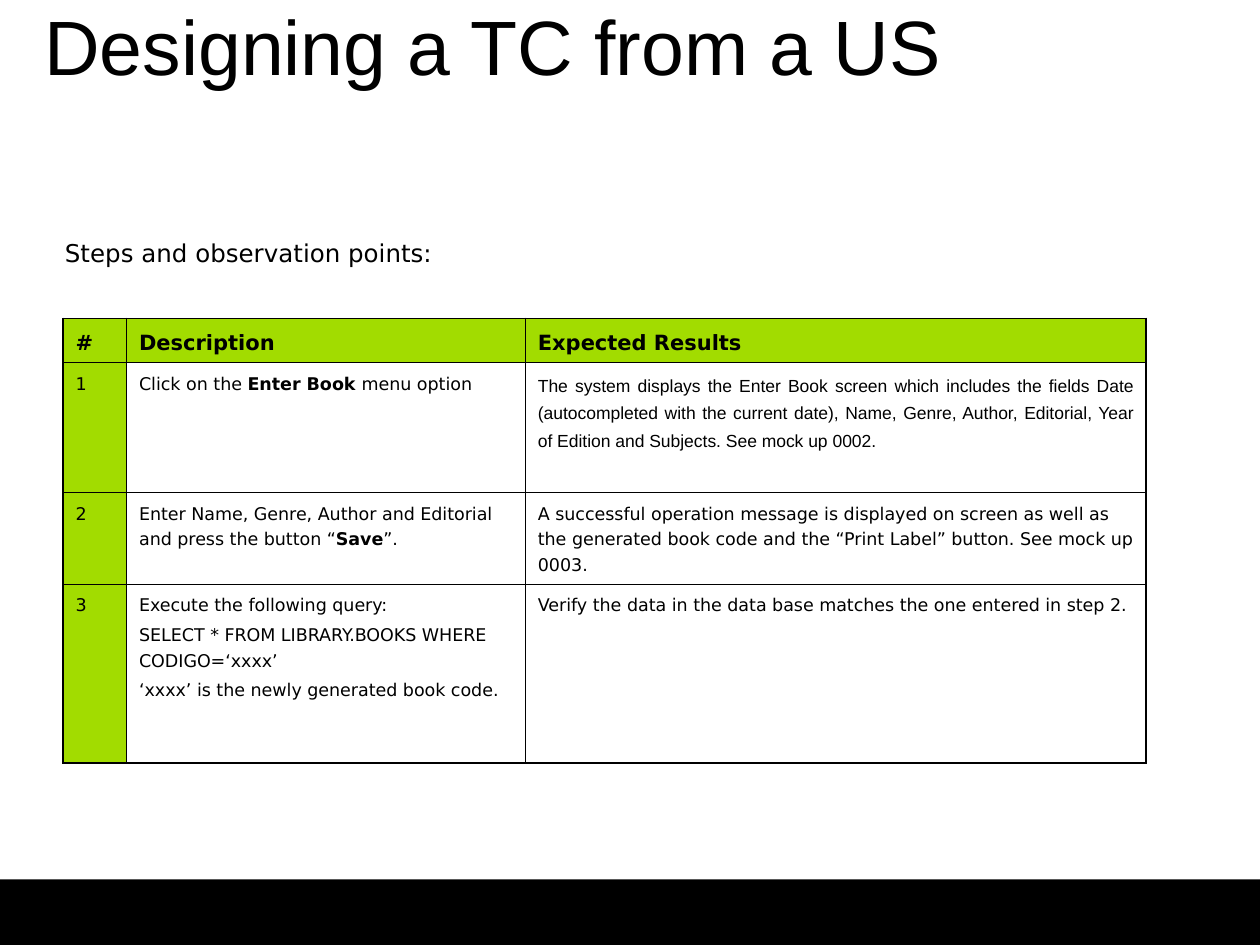
"""Build a slide with a test case table of steps and expected results."""
from dataclasses import dataclass

from lxml.etree import SubElement
from pptx import Presentation
from pptx.dml.color import RGBColor as Rgb
from pptx.enum.shapes import MSO_SHAPE as Shape
from pptx.enum.text import MSO_ANCHOR as Anchor, PP_ALIGN as Align
from pptx.oxml.ns import qn
from pptx.util import Cm, Pt

INK = {"text": "000000", "green": "A2DC00"}
SANS, ARIAL = "DejaVu Sans", "Arial"
THICK, THIN = 1.08, 0.45
COLS = (1.28, 8.04, 12.51)
ROWS = (0.88, 2.62, 1.85, 3.6)


@dataclass
class Style:
    size: float
    face: str = SANS
    bold: bool = False
    align: Align = Align.LEFT
    line: float = 1.25
    gap: float = 2.5


HEAD = Style(12, bold=True)
BODY = Style(10)
JUST = Style(10, face=ARIAL, align=Align.JUSTIFY, line=1.4)
STEP = Style(14, align=Align.JUSTIFY, line=1.4)
NAME = Style(44, face=ARIAL, align=Align.CENTER, line=1)

GRID = (
    ("#", "Description", "Expected Results"),
    ("1", "Click on the |Enter Book |menu option",
     "The system displays the Enter Book screen which includes the fields "
     "Date (autocompleted with the current date), Name, Genre, Author, "
     "Editorial, Year of Edition and Subjects. See mock up 0002."),
    ("2", "Enter Name, Genre, Author and Editorial and press the button “|Save|”.",
     "A successful operation message is displayed on screen as well as the "
     "generated book code and the “Print Label” button. See mock up 0003."),
    ("3", "Execute the following query:\n"
     "SELECT * FROM LIBRARY.BOOKS WHERE CODIGO=‘xxxx’\n"
     "‘xxxx’ is the newly generated book code.",
     "Verify the data in the data base matches the one entered in step 2."),
)


def color(key: str) -> Rgb:
    return Rgb.from_string(INK[key])


def write(frame, text: str, style: Style) -> None:
    """Fill a text frame; bars set off the bold runs."""
    for i, line in enumerate(text.split("\n")):
        para = frame.add_paragraph() if i else frame.paragraphs[0]
        para.alignment, para.line_spacing = style.align, style.line
        para.space_before = Pt(style.gap if i else 0)
        font = para.font
        font.size, font.name, font.bold = Pt(style.size), style.face, style.bold
        font.color.rgb = color("text")
        for j, part in enumerate(line.split("|")):
            run = para.add_run()
            run.text = part
            if j % 2:
                run.font.bold = True


def border(cell, side: str, width: float) -> None:
    """Draw one side of a cell."""
    props = cell._tc.get_or_add_tcPr()
    edge = SubElement(props, qn(f"a:ln{side}"), w=str(Pt(width)))
    fill = SubElement(edge, qn("a:solidFill"))
    SubElement(fill, qn("a:srgbClr"), val=INK["text"])


def add_steps(slide) -> None:
    """Draw the table with a thick outer frame and thin inner rules."""
    last, end = len(ROWS) - 1, len(COLS) - 1
    table = slide.shapes.add_table(
        len(ROWS), len(COLS), Cm(1.27), Cm(6.42), Cm(sum(COLS)), Cm(sum(ROWS))
    ).table
    table.first_row = table.horz_banding = False
    for col, width in zip(table.columns, COLS):
        col.width = Cm(width)
    for r, (row, high) in enumerate(zip(table.rows, ROWS)):
        row.height = Cm(high)
        for c, cell in enumerate(row.cells):
            outer = {"L": c == 0, "R": c == end, "T": r == 0, "B": r == last}
            for side, edge in outer.items():
                border(cell, side, THICK if edge else THIN)
            if r == 0 or c == 0:
                cell.fill.solid()
                cell.fill.fore_color.rgb = color("green")
            else:
                cell.fill.background()
            style = HEAD if r == 0 else JUST if (r, c) == (1, end) else BODY
            write(cell.text_frame, GRID[r][c], style)


def main() -> None:
    deck = Presentation()
    deck.slide_width, deck.slide_height = Cm(25.4), Cm(19.05)
    slide = deck.slides.add_slide(deck.slide_layouts[5])

    bar = slide.shapes.add_shape(
        Shape.RECTANGLE, 0, Cm(17.73), deck.slide_width, Cm(1.4))
    bar.shadow.inherit = False
    bar.fill.solid()
    bar.fill.fore_color.rgb = color("text")
    bar.line.fill.background()

    title = slide.shapes.title
    title.left, title.top = Cm(-0.85), Cm(-0.3)
    title.width, title.height = Cm(21.59), Cm(2.41)
    title.text_frame.vertical_anchor = Anchor.MIDDLE
    write(title.text_frame, "Designing a TC from a US", NAME)

    label = slide.shapes.add_textbox(Cm(1.06), Cm(4.44), Cm(23.44), Cm(1.47))
    label.text_frame.word_wrap = True
    write(label.text_frame, "Steps and observation points:", STEP)

    add_steps(slide)
    deck.save("out.pptx")


if __name__ == "__main__":
    main()
